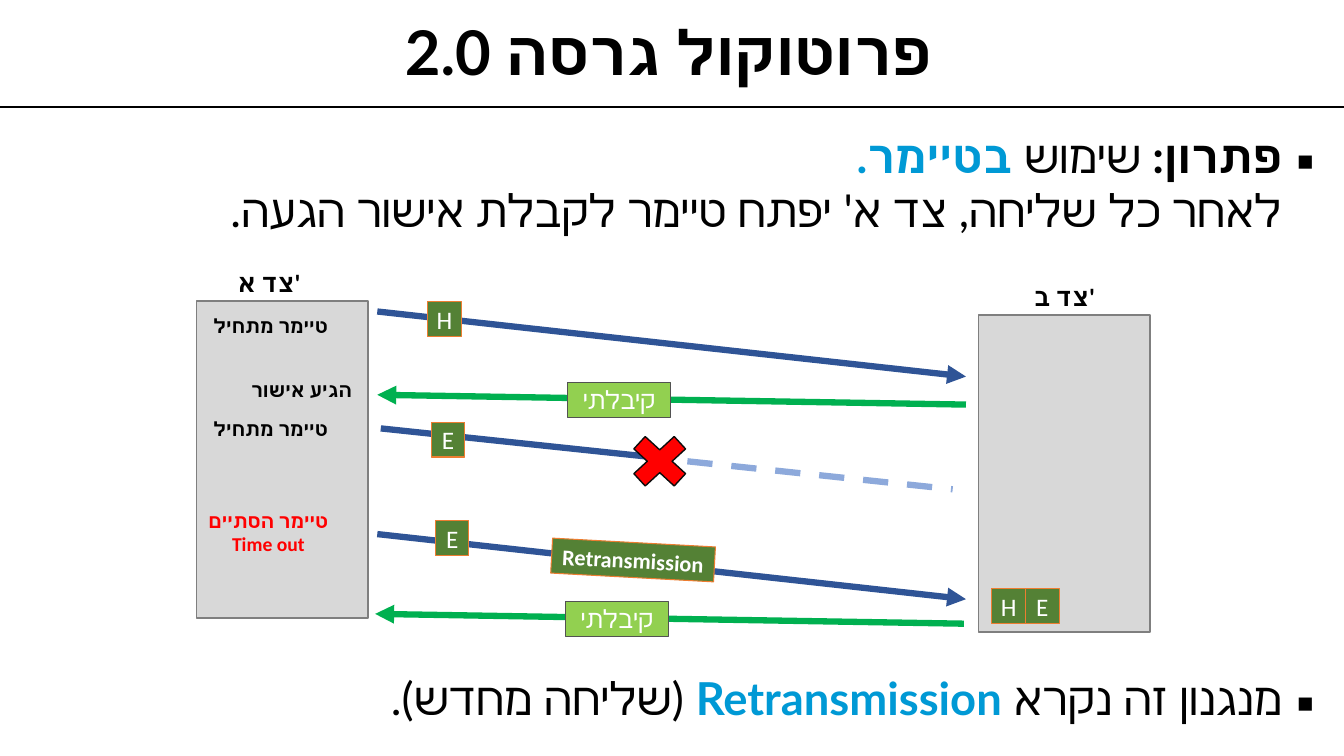
from lxml.etree import SubElement
from pptx import Presentation
from pptx.dml.color import RGBColor
from pptx.enum.dml import MSO_LINE_DASH_STYLE as Dash
from pptx.enum.shapes import MSO_CONNECTOR as Connector, MSO_SHAPE as Shape
from pptx.enum.text import MSO_ANCHOR as Anchor, PP_ALIGN as Align
from pptx.oxml.ns import qn
from pptx.util import Pt

BLACK = RGBColor(0x00, 0x00, 0x00)
WHITE = RGBColor(0xFF, 0xFF, 0xFF)
RED = RGBColor(0xFF, 0x00, 0x00)
ACCENT = RGBColor(0x00, 0x99, 0xD5)
SEND_BLUE = RGBColor(0x2F, 0x54, 0x96)
LOST_BLUE = RGBColor(0x8D, 0xA9, 0xDB)
ACK_GREEN = RGBColor(0x00, 0xB0, 0x50)
ACK_FILL = RGBColor(0x92, 0xD0, 0x50)
ACK_EDGE = RGBColor(0x52, 0x52, 0x52)
PACKET_FILL = RGBColor(0x54, 0x81, 0x35)
PACKET_EDGE = RGBColor(0xED, 0x7D, 0x31)
HOST_FILL = RGBColor(0xD8, 0xD8, 0xD8)
HOST_EDGE = RGBColor(0x7F, 0x7F, 0x7F)
CROSS_EDGE = RGBColor(0x0C, 0x0C, 0x0C)


class ProtocolSlide:
    heading_font, label_font = "Lato", "Calibri"
    packet_width, packet_height = 24, 25
    ack_width = 73.5

    def __init__(self, slide):
        self.shapes = slide.shapes

    def set_text(self, frame, lines, size, font, align=Align.CENTER, anchor=Anchor.MIDDLE):
        """Fill a frame with one paragraph; each line is a list of (text, colour, bold)."""
        frame.word_wrap = True
        frame.vertical_anchor = anchor
        frame.margin_left = frame.margin_right = frame.margin_top = frame.margin_bottom = 0
        paragraph = frame.paragraphs[0]
        paragraph.alignment = align
        for number, line in enumerate(lines):
            if number:
                paragraph.add_line_break()
            for text, color, bold in line:
                run = paragraph.add_run()
                run.text = text
                run.font.size, run.font.bold, run.font.name = Pt(size), bold, font
                run.font.color.rgb = color
                SubElement(run.font._element, qn("a:cs"), typeface=font)
        return paragraph

    def text(self, left, top, width, height, lines, size, font, **layout):
        box = self.shapes.add_textbox(Pt(left), Pt(top), Pt(width), Pt(height))
        return self.set_text(box.text_frame, lines, size, font, **layout)

    def title(self, text):
        paragraph = self.text(0, 3, 955, 73, [[(text, BLACK, True)]], 44, self.heading_font)
        paragraph.line_spacing = 0.9
        paragraph._p.get_or_add_pPr().set("rtl", "1")

    def bullet(self, top, height, lines):
        paragraph = self.text(20, top, 919, height, lines, 32.4, self.heading_font,
                              align=Align.RIGHT, anchor=Anchor.TOP)
        properties = paragraph._p.get_or_add_pPr()
        for name, value in (("marL", Pt(23)), ("indent", Pt(-23)), ("rtl", 1)):
            properties.set(name, str(int(value)))
        color = SubElement(properties, qn("a:buClr"))
        SubElement(color, qn("a:srgbClr"), val=str(BLACK))
        SubElement(properties, qn("a:buFont"), typeface="Noto Sans Symbols")
        SubElement(properties, qn("a:buChar"), char="▪")

    def label(self, left, top, width, lines, size=14, color=BLACK, align=Align.CENTER):
        self.text(left, top, width, 27, [[(line, color, True)] for line in lines],
                  size, self.label_font, align=align)

    def block(self, left, top, width, height, fill, edge, weight=0.75, kind=Shape.RECTANGLE):
        block = self.shapes.add_shape(kind, Pt(left), Pt(top), Pt(width), Pt(height))
        block.shadow.inherit = False
        block.fill.solid()
        block.fill.fore_color.rgb = fill
        block.line.color.rgb = edge
        block.line.width = Pt(weight)
        return block

    def host(self, left, top):
        self.block(left, top, 122.5, 226.5, HOST_FILL, HOST_EDGE, 1)

    def packet(self, left, top, text, width=packet_width, size=18, bold=False, angle=0):
        packet = self.block(left, top, width, self.packet_height, PACKET_FILL, PACKET_EDGE)
        packet.rotation = angle
        self.set_text(packet.text_frame, [[(text, WHITE, bold)]], size, self.label_font)

    def acknowledgement(self, left, top):
        ack = self.block(left, top, self.ack_width, self.packet_height, ACK_FILL, ACK_EDGE)
        self.set_text(ack.text_frame, [[("קיבלתי", WHITE, False)]], 18, self.label_font)

    def cross(self, left, top):
        cross = self.block(left, top, 55.5, 51, RED, CROSS_EDGE, 1, Shape.MATH_MULTIPLY)
        cross.adjustments[0] = 0.235

    def line(self, x1, y1, x2, y2, color, weight=4.5, arrow=False, dash=None):
        line = self.shapes.add_connector(Connector.STRAIGHT, Pt(x1), Pt(y1), Pt(x2), Pt(y2))
        line.line.color.rgb = color
        line.line.width = Pt(weight)
        if dash:
            line.line.dash_style = dash
        if arrow:
            SubElement(line.line._get_or_add_ln(), qn("a:tailEnd"), type="triangle")
        SubElement(line._element.spPr, qn("a:effectLst"))

    def send_arrow(self, top):
        self.line(269.5, top, 690, top + 46.5, SEND_BLUE, arrow=True)

    def ack_arrow(self, left, top):
        self.line(left + 420.5, top + 7, left, top, ACK_GREEN, arrow=True)


def main():
    deck = Presentation()
    deck.slide_width, deck.slide_height = Pt(960), Pt(540)
    page = ProtocolSlide(deck.slides.add_slide(deck.slide_layouts[6]))

    page.line(0, 76.5, 960, 76.5, BLACK, weight=1)
    page.title("פרוטוקול גרסה 2.0")
    page.bullet(91.5, 80, [
        [("פתרון: ", BLACK, True), ("שימוש ", BLACK, False), ("בטיימר.", ACCENT, True)],
        [("לאחר כל שליחה, צד א' יפתח טיימר לקבלת אישור הגעה.", BLACK, False)],
    ])
    page.bullet(478.5, 42, [
        [("מנגנון זה נקרא ", BLACK, False), ("Retransmission", ACCENT, True),
         (" (שליחה מחדש).", BLACK, False)],
    ])

    page.label(136, 188.5, 112.5, ["צד א'"], size=18)
    page.label(704, 198, 112.5, ["צד ב'"], size=18)
    page.host(140.5, 215)
    page.host(699, 225)
    for top in (219, 293):
        page.label(137, top, 112.5, ["טיימר מתחיל"])
    page.label(163.5, 265, 88, ["הגיע אישור"], align=Align.RIGHT)
    page.label(135.5, 366.5, 112.5, ["טיימר הסתיים", "Time out"], color=RED)

    for top in (222.5, 381.5):
        page.send_arrow(top)
    page.line(272, 306, 461, 326, SEND_BLUE)
    page.line(491, 329.5, 680.5, 349.5, LOST_BLUE, dash=Dash.DASH)
    page.cross(443.5, 304)
    for arrow_left, arrow_top in ((269.5, 282), (268, 438.5)):
        page.ack_arrow(arrow_left, arrow_top)
        page.acknowledgement(arrow_left + 136, arrow_top - 9)

    page.packet(394, 387.5, "Retransmission", width=116.5, size=16, bold=True, angle=3.1)
    for left, top, letter in ((305.5, 215.5, "H"), (308, 301.5, "E"), (311, 372, "E")):
        page.packet(left, top, letter)
    for place, letter in enumerate("HE"):
        page.packet(708.5 + place * page.packet_width, 420.5, letter)

    deck.save("out.pptx")


if __name__ == "__main__":
    main()
